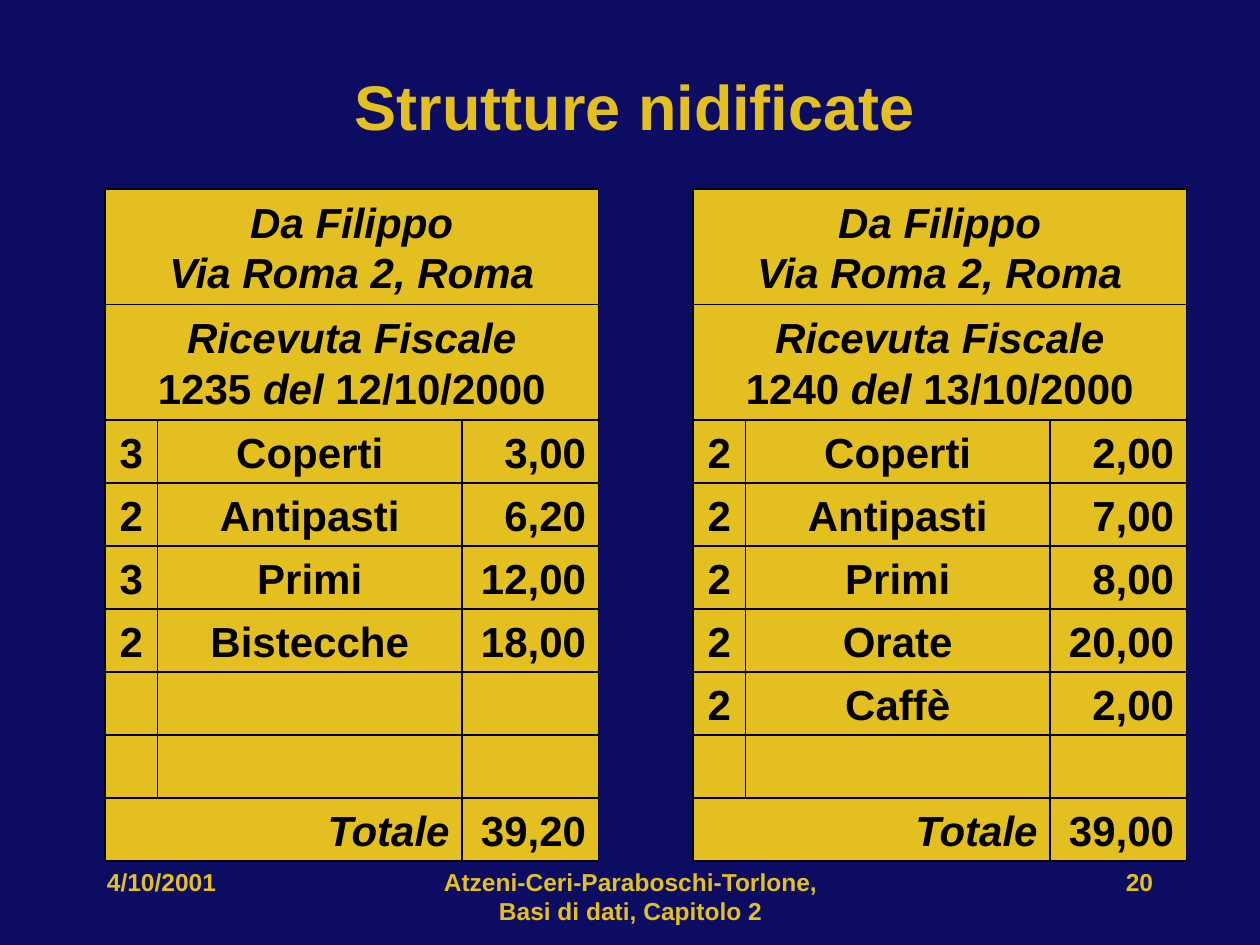
from pptx import Presentation
from pptx.dml.color import RGBColor
from pptx.enum.shapes import MSO_SHAPE
from pptx.enum.text import MSO_ANCHOR, MSO_AUTO_SIZE, PP_ALIGN
from pptx.util import Inches, Pt

NAVY, GOLD, BLACK = "0C0C62", "E4BF20", "000000"
LEFT, CENTER, RIGHT = PP_ALIGN.LEFT, PP_ALIGN.CENTER, PP_ALIGN.RIGHT

TITLE = "Strutture nidificate"
RESTAURANT = ["Da Filippo", "Via Roma 2, Roma"]
RECEIPTS = [
    {"number": "1235", "date": "12/10/2000", "total": "39,20",
     "items": [("3", "Coperti", "3,00"), ("2", "Antipasti", "6,20"),
               ("3", "Primi", "12,00"), ("2", "Bistecche", "18,00")]},
    {"number": "1240", "date": "13/10/2000", "total": "39,00",
     "items": [("2", "Coperti", "2,00"), ("2", "Antipasti", "7,00"),
               ("2", "Primi", "8,00"), ("2", "Orate", "20,00"),
               ("2", "Caffè", "2,00")]},
]
FOOTERS = [  # text, left, width, alignment
    ("Atzeni-Ceri-Paraboschi-Torlone, Basi di dati, Capitolo 2", 3.42, 3.17, CENTER),
    ("20", 7.17, 2.08, RIGHT),
    ("4/10/2001", 0.75, 2.08, LEFT),
]

# The receipts sit on a grid of twelfths of an inch.
UNIT = 1 / 12
RECEIPT_LEFTS = [10 * UNIT, 66 * UNIT]
RECEIPT_TOP = 1.5
QUANTITY_W, DISH_W, PRICE_W = 5 * UNIT, 29 * UNIT, 13 * UNIT
RECEIPT_W = QUANTITY_W + DISH_W + PRICE_W
HEADER_H, ROW_H = 11 * UNIT, 0.5
ITEM_ROWS = 6


def color(hex_code):
    return RGBColor.from_string(hex_code)


def format_run(run, size, hex_code, italic=None):
    run.font.name = "Arial"
    run.font.size = Pt(size)
    run.font.bold = True
    run.font.italic = italic
    run.font.color.rgb = color(hex_code)


def add_cell(slide, left, top, width, height, lines=(), align=CENTER):
    """Draw one receipt box; each line is a list of (text, italic) pieces."""
    cell = slide.shapes.add_shape(MSO_SHAPE.RECTANGLE, Inches(left), Inches(top),
                                  Inches(width), Inches(height))
    cell.shadow.inherit = False
    cell.fill.solid()
    cell.fill.fore_color.rgb = color(GOLD)
    cell.line.color.rgb = color(BLACK)
    cell.line.width = Pt(0.75)
    frame = cell.text_frame
    frame.word_wrap = False
    frame.vertical_anchor = MSO_ANCHOR.MIDDLE
    for index, pieces in enumerate(lines):
        paragraph = frame.add_paragraph() if index else frame.paragraphs[0]
        paragraph.alignment = align
        for text, italic in pieces:
            run = paragraph.add_run()
            run.text = text
            format_run(run, 24, BLACK, italic)


def add_receipt(slide, left, receipt):
    top = RECEIPT_TOP
    headers = [
        [[(line, True)] for line in RESTAURANT],
        [[("Ricevuta Fiscale", True)],
         [(receipt["number"] + " ", False), ("del ", True), (receipt["date"], False)]],
    ]
    for lines in headers:
        add_cell(slide, left, top, RECEIPT_W, HEADER_H, lines)
        top += HEADER_H

    price_left = left + QUANTITY_W + DISH_W
    columns = [(left, QUANTITY_W, CENTER),
               (left + QUANTITY_W, DISH_W, CENTER),
               (price_left, PRICE_W, RIGHT)]
    blanks = [("", "", "")] * (ITEM_ROWS - len(receipt["items"]))
    for item in receipt["items"] + blanks:
        for text, (x, width, align) in zip(item, columns):
            lines = [[(text, False)]] if text else []
            add_cell(slide, x, top, width, ROW_H, lines, align)
        top += ROW_H

    add_cell(slide, left, top, QUANTITY_W + DISH_W, ROW_H, [[("Totale", True)]], RIGHT)
    add_cell(slide, price_left, top, PRICE_W, ROW_H, [[(receipt["total"], False)]], RIGHT)


def add_title(slide):
    title = slide.shapes.title
    title.left, title.top = Inches(0.5), Inches(0.17)
    title.width, title.height = Inches(9.08), Inches(1.33)
    frame = title.text_frame
    frame.text = TITLE
    frame.auto_size = MSO_AUTO_SIZE.NONE
    frame.vertical_anchor = MSO_ANCHOR.MIDDLE
    frame.paragraphs[0].alignment = CENTER
    format_run(frame.paragraphs[0].runs[0], 36, GOLD)


def add_footer(slide, text, left, width, align):
    footer = slide.shapes.add_textbox(Inches(left), Inches(6.83), Inches(width), Inches(0.5))
    frame = footer.text_frame
    frame.word_wrap = True
    frame.text = text
    frame.paragraphs[0].alignment = align
    format_run(frame.paragraphs[0].runs[0], 14, GOLD)


def main():
    deck = Presentation()
    deck.slide_width, deck.slide_height = Inches(10), Inches(7.5)
    slide = deck.slides.add_slide(deck.slide_layouts[5])
    slide.background.fill.solid()
    slide.background.fill.fore_color.rgb = color(NAVY)
    add_title(slide)
    for left, receipt in zip(RECEIPT_LEFTS, RECEIPTS):
        add_receipt(slide, left, receipt)
    for footer in FOOTERS:
        add_footer(slide, *footer)
    deck.save("out.pptx")


if __name__ == "__main__":
    main()
